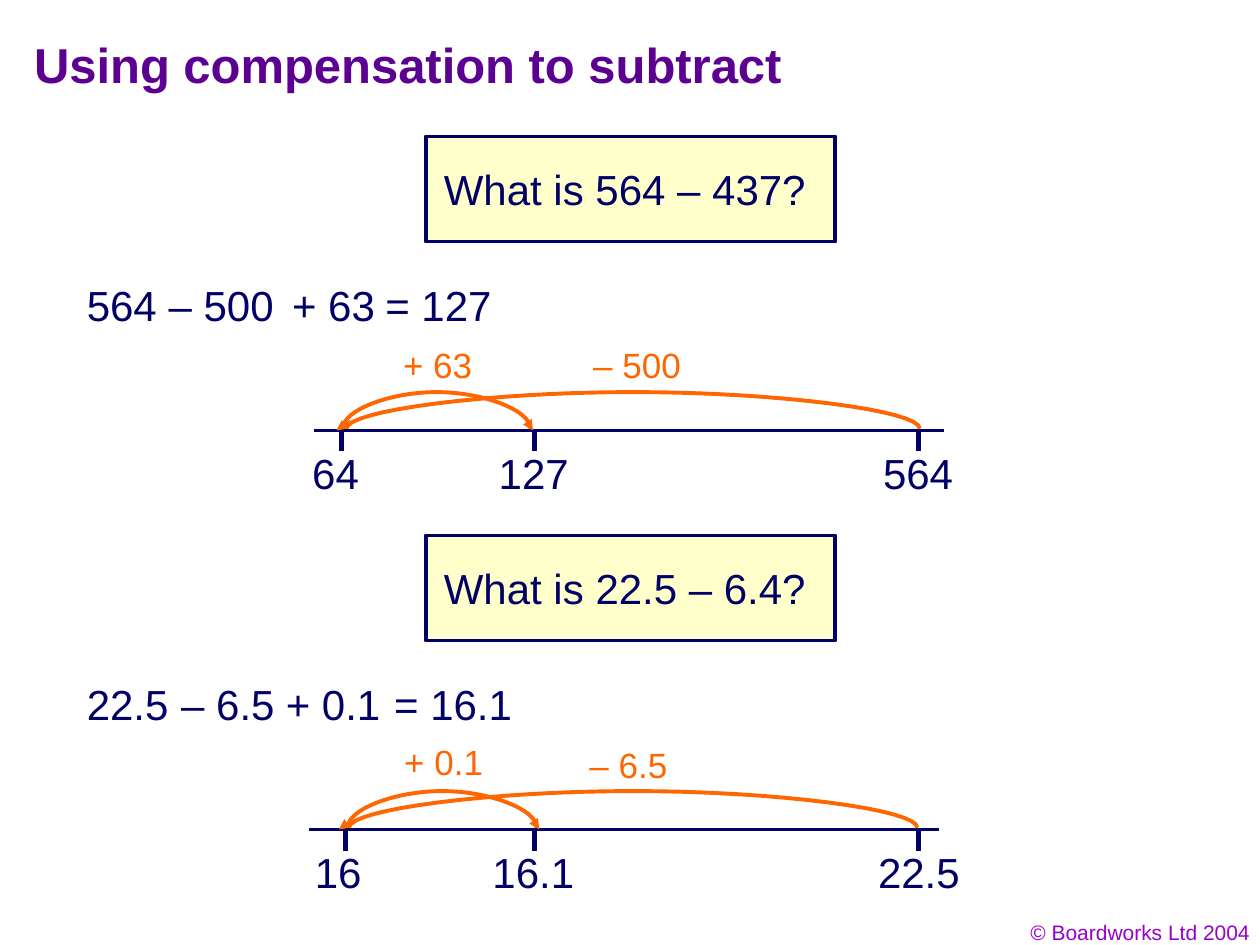
from lxml.etree import SubElement
from pptx import Presentation
from pptx.dml.color import RGBColor
from pptx.enum.shapes import MSO_CONNECTOR, MSO_SHAPE
from pptx.enum.text import MSO_ANCHOR, MSO_AUTO_SIZE, PP_ALIGN
from pptx.oxml.ns import qn
from pptx.util import Inches, Pt

NAVY = RGBColor(0x00, 0x00, 0x66)
INK = RGBColor(0x01, 0x00, 0x66)
PURPLE = RGBColor(0x5B, 0x00, 0x91)
VIOLET = RGBColor(0x99, 0x00, 0xCC)
ORANGE = RGBColor(0xFF, 0x66, 0x00)
CREAM = RGBColor(0xFF, 0xFF, 0xCC)

UNIT = 1 / 12
ARC_HEIGHT = 0.29
ARC_STEPS = 16

PROBLEMS = [
    {
        "top": 13 * UNIT,
        "question": "What is 564 – 437? ",
        "equation": [("564", 0.59, 0.75), ("– 500", 1.24, 1.03),
                     ("+ 63", 2.22, 0.86), ("= 127", 2.96, 1.04)],
        "axis_left": 2.49,
        "ticks": [("64", 2.71, 2.38, 0.57), ("127", 4.24, 3.86, 0.75),
                  ("564", 7.29, 6.91, 0.75)],
        "forward": ("+ 63", 3.1, 2.68, 0.75, 2.72, 4.21),
        "back": ("– 500", 4.61, 2.68, 0.89, 2.75, 7.3),
    },
    {
        "top": 51 * UNIT,
        "question": "What is 22.5 – 6.4? ",
        "equation": [("22.5", 0.59, 0.85), ("– 6.5", 1.34, 0.94),
                     ("+ 0.1", 2.17, 0.95), ("= 16.1", 3.03, 1.13)],
        "axis_left": 2.45,
        "ticks": [("16", 2.74, 2.4, 0.57), ("16.1", 4.24, 3.81, 0.85),
                  ("22.5", 7.29, 6.87, 0.85)],
        "forward": ("+ 0.1", 3.11, 5.83, 0.82, 2.76, 4.26),
        "back": ("– 6.5", 4.58, 5.85, 0.82, 2.77, 7.28),
    },
]


def bezier(start, first, second, end, t):
    """Return the point at t on a cubic curve."""
    u = 1 - t
    return tuple(u**3 * a + 3 * u * u * t * b + 3 * u * t * t * c + t**3 * d
                 for a, b, c, d in zip(start, first, second, end))


class SlideBuilder:
    """Hold the current slide and its text style."""

    def __init__(self, slide, font_name="Arial"):
        self.slide = slide
        self.font_name = font_name

    def set_text(self, shape, text, size, color, align=PP_ALIGN.LEFT,
                 bold=False, wrap=False, anchor=MSO_ANCHOR.TOP):
        """Put one formatted paragraph in a shape."""
        frame = shape.text_frame
        frame_format = {"word_wrap": wrap, "auto_size": MSO_AUTO_SIZE.NONE,
                        "vertical_anchor": anchor}
        for name, value in frame_format.items():
            setattr(frame, name, value)
        paragraph = frame.paragraphs[0]
        paragraph.text = text
        paragraph.alignment = align
        font_format = {"name": self.font_name, "size": Pt(size), "bold": bold}
        for name, value in font_format.items():
            setattr(paragraph.font, name, value)
        paragraph.font.color.rgb = color

    def title(self, text, left, top, width, height):
        """Move and fill the title placeholder."""
        shape = self.slide.shapes.title
        position = {"left": left, "top": top, "width": width, "height": height}
        for name, value in position.items():
            setattr(shape, name, Inches(value))
        self.set_text(shape, text, 28, PURPLE, bold=True, wrap=True,
                      anchor=MSO_ANCHOR.MIDDLE)

    def label(self, text, left, top, width, height=0.5, size=24, color=INK,
              **style):
        """Add a text box."""
        box = self.slide.shapes.add_textbox(
            Inches(left), Inches(top), Inches(width), Inches(height))
        self.set_text(box, text, size, color, **style)

    def question(self, text, left, top, width, height):
        """Add a framed question."""
        shape = self.slide.shapes.add_shape(
            MSO_SHAPE.RECTANGLE, Inches(left), Inches(top), Inches(width),
            Inches(height))
        shape.shadow.inherit = False
        shape.fill.solid()
        shape.fill.fore_color.rgb = CREAM
        shape.line.color.rgb = NAVY
        shape.line.width = Pt(2.25)
        self.set_text(shape, text, 24, NAVY, align=PP_ALIGN.CENTER,
                      anchor=MSO_ANCHOR.MIDDLE)

    def line(self, start, end, width, color=NAVY, arrow=False):
        """Add a straight line with an optional arrowhead at its end."""
        connector = self.slide.shapes.add_connector(
            MSO_CONNECTOR.STRAIGHT, *map(Inches, start + end))
        connector.line.color.rgb = color
        connector.line.width = Pt(width)
        properties = connector._element.spPr
        if arrow:
            SubElement(properties.find(qn("a:ln")), qn("a:tailEnd"),
                       type="triangle")
        SubElement(properties, qn("a:effectLst"))

    def arc(self, left, right, base):
        """Add an open arch between two places on a number line."""
        middle, peak = (left + right) / 2, base - ARC_HEIGHT
        shoulder = base - ARC_HEIGHT / 2
        rise = [bezier((left, base), (left, shoulder),
                       ((left + middle) / 2, peak), (middle, peak),
                       step / ARC_STEPS) for step in range(ARC_STEPS + 1)]
        fall = [(left + right - x, y) for x, y in reversed(rise[:-1])]
        points = [(Inches(x), Inches(y)) for x, y in rise + fall]
        builder = self.slide.shapes.build_freeform(*points[0])
        builder.add_line_segments(points[1:], close=False)
        shape = builder.convert_to_shape()
        shape.shadow.inherit = False
        shape.fill.background()
        shape.line.color.rgb = ORANGE
        shape.line.width = Pt(2.25)

    def jump(self, axis, text, text_left, text_top, text_width, left, right,
             forward):
        """Add a labelled arch with an arrowhead."""
        self.arc(left, right, axis - 0.015)
        if forward:
            start, end = (right - 0.07, axis - 0.14), (right + 0.02, axis)
        else:
            start, end = (left + 0.03, axis - 0.08), (left - 0.08, axis)
        self.line(start, end, 0.75, ORANGE, arrow=True)
        self.label(text, text_left, text_top, text_width, 0.44, 20, ORANGE)

    def problem(self, top, question, equation, axis_left, ticks, forward, back):
        """Add a question, its working and its number line."""
        axis = top + 28 * UNIT
        self.question(question, 3.38, top, 3.25, 10 * UNIT)
        for text, left, width in equation:
            self.label(text, left, top + 13 * UNIT, width)
        self.line((axis_left, axis), (axis_left + 5, axis), 2.25)
        for text, x, left, width in ticks:
            self.line((x, axis), (x, axis + 2 * UNIT), 3)
            self.label(text, left, axis + UNIT, width)
        self.jump(axis, *forward, forward=True)
        self.jump(axis, *back, forward=False)


def main():
    """Build and save the slide."""
    presentation = Presentation()
    presentation.slide_width = Inches(10)
    presentation.slide_height = Inches(7.5)
    slide = presentation.slides.add_slide(presentation.slide_layouts[5])
    builder = SlideBuilder(slide)
    builder.title("Using compensation to subtract", 0.17, 0.17, 8.67, 0.67)
    for problem in PROBLEMS:
        builder.problem(**problem)
    builder.label("© Boardworks Ltd 2004", 7.69, 7.25, 2.33, 0.3, 12, VIOLET,
                  align=PP_ALIGN.RIGHT, wrap=True)
    presentation.save("out.pptx")


if __name__ == "__main__":
    main()
